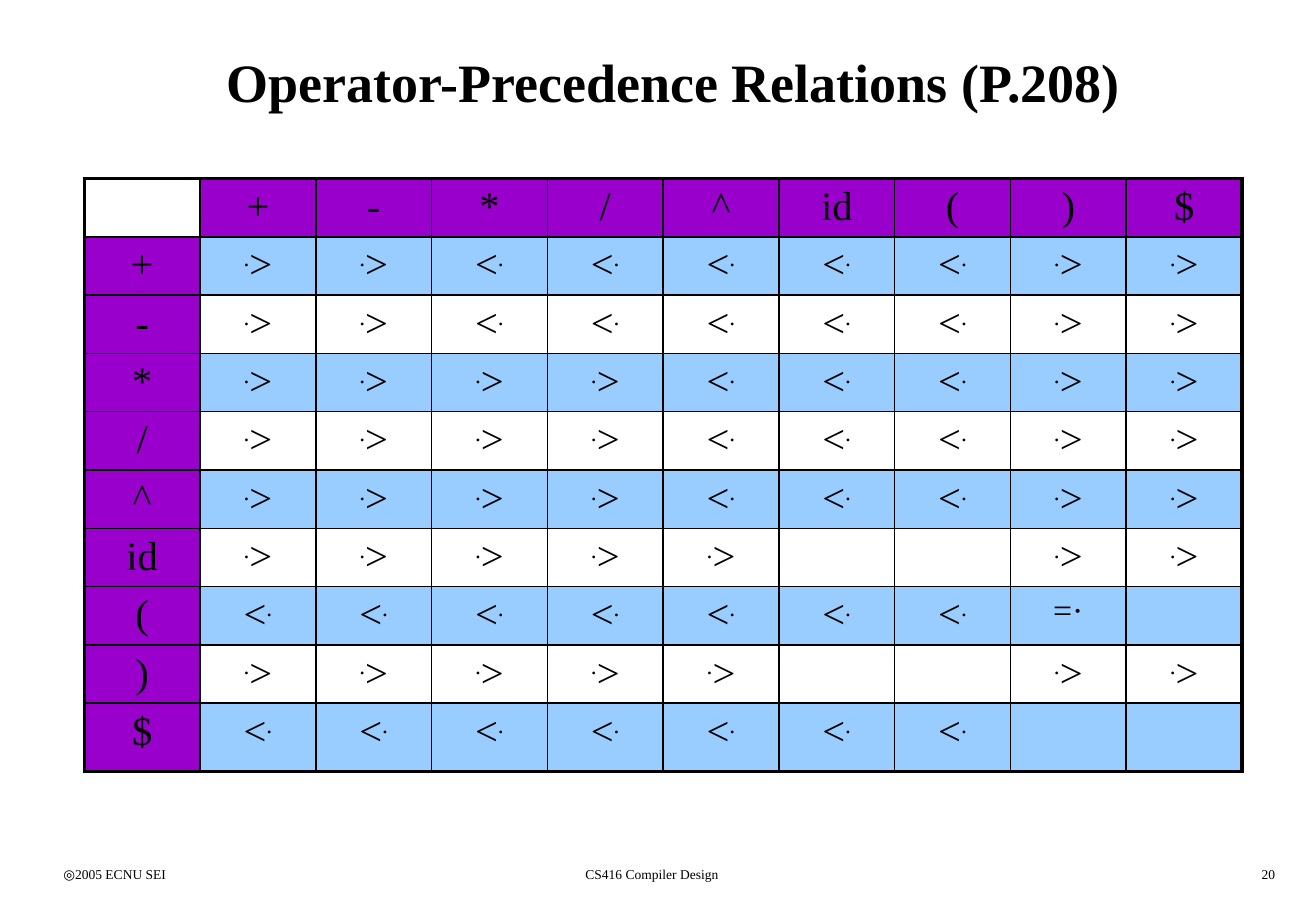
from lxml.etree import SubElement
from pptx import Presentation
from pptx.dml.color import RGBColor
from pptx.enum.text import MSO_ANCHOR as Anchor, MSO_AUTO_SIZE as AutoSize, PP_ALIGN as Align
from pptx.oxml.ns import qn
from pptx.util import Inches, Pt

WIDTH, HEIGHT = Inches(10.83), Inches(7.5)
FONT = "Times New Roman"
COLORS = {"ink": "000000", "heading": "9900CC", "band": "99CCFF"}

SYMBOLS = ["+", "-", "*", "/", "^", "id", "(", ")", "$"]
# One string per row symbol, one mark per column symbol
RELATIONS = [
    ">><<<<<>>",
    ">><<<<<>>",
    ">>>><<<>>",
    ">>>><<<>>",
    ">>>><<<>>",
    ">>>>>  >>",
    "<<<<<<<= ",
    ">>>>>  >>",
    "<<<<<<<  ",
]
# Runs of each mark: text, size, superscript percentage
MARK_RUNS = {
    ">": [(".", 24, 30), (">", 24, 0)],
    "<": [("<", 24, 0), (".", 24, 30)],
    "=": [("=·", 20, 0)],
    " ": [],
}


def add_run(paragraph, text, size, bold=False, raised=0):
    run = paragraph.add_run()
    run.text = text
    run.font.name = FONT
    run.font.size = Pt(size)
    run.font.bold = bold
    run.font.color.rgb = RGBColor.from_string(COLORS["ink"])
    if raised:
        run.font._element.set("baseline", str(raised * 1000))


def place(shape, left, top, width, height):
    """Position a shape by shares of the slide's size."""
    shape.left, shape.width = int(WIDTH * left), int(WIDTH * width)
    shape.top, shape.height = int(HEIGHT * top), int(HEIGHT * height)


def set_title(slide, text):
    title = slide.shapes.title
    place(title, 0.039, 0.022, 0.946, 0.133)
    frame = title.text_frame
    frame.auto_size = AutoSize.NONE
    frame.vertical_anchor = Anchor.MIDDLE
    paragraph = frame.paragraphs[0]
    paragraph.alignment = Align.CENTER
    add_run(paragraph, text, 32, bold=True)


def add_footer(slide, text, left, width, alignment):
    box = slide.shapes.add_textbox(0, 0, 0, 0)
    place(box, left, 0.944, width, 0.033)
    box.text_frame.word_wrap = True
    paragraph = box.text_frame.paragraphs[0]
    paragraph.alignment = alignment
    add_run(paragraph, text, 8)


def set_borders(cell, outer_sides):
    """Draw thin inner borders and thick ones on the table's outer sides."""
    properties = cell._tc.get_or_add_tcPr()
    for side in "LRTB":
        width = Pt(2.25 if side in outer_sides else 1)
        line = SubElement(properties, qn(f"a:ln{side}"), w=str(width))
        fill = SubElement(line, qn("a:solidFill"))
        SubElement(fill, qn("a:srgbClr"), val=COLORS["ink"])


def set_fill(cell, color=None, opacity=100):
    if color is None:
        cell.fill.background()
        return
    cell.fill.solid()
    cell.fill.fore_color.rgb = RGBColor.from_string(color)
    if opacity < 100:
        color_element = cell._tc.tcPr.find(f".//{qn('a:solidFill')}[last()]/../"
                                           f"{qn('a:solidFill')}/{qn('a:srgbClr')}")
        SubElement(color_element, qn("a:alpha"), val=str(opacity * 1000))


def fill_cell(cell, row, column):
    """Write and colour one cell: headings on the first row and column."""
    paragraph = cell.text_frame.paragraphs[0]
    paragraph.alignment = Align.CENTER
    if row and column:
        runs = MARK_RUNS[RELATIONS[row - 1][column - 1]]
        set_fill(cell, COLORS["band"] if row % 2 else None)
    elif row or column:
        runs = [(SYMBOLS[max(row, column) - 1], 24, 0)]
        set_fill(cell, COLORS["heading"], opacity=50)
    else:
        runs = []
        set_fill(cell)
    for text, size, raised in runs:
        add_run(paragraph, text, size, raised=raised)


def add_relation_table(slide):
    count = len(SYMBOLS) + 1
    last = count - 1
    frame = slide.shapes.add_table(count, count, 0, 0, WIDTH, HEIGHT)
    place(frame, 0.064, 0.196, 0.88, 0.65)
    table = frame.table
    table.first_row = table.horz_banding = False
    for index in range(count):
        table.columns[index].width = int(WIDTH * 0.88 / count)
        table.rows[index].height = Inches(0.56 if index == last else 0.48)
    for row in range(count):
        for column in range(count):
            cell = table.cell(row, column)
            outer_sides = [side for side, at_edge in (
                ("L", column == 0), ("R", column == last),
                ("T", row == 0), ("B", row == last)) if at_edge]
            set_borders(cell, outer_sides)
            fill_cell(cell, row, column)


def main():
    presentation = Presentation()
    presentation.slide_width, presentation.slide_height = WIDTH, HEIGHT
    slide = presentation.slides.add_slide(presentation.slide_layouts[5])

    # Title and precedence table
    set_title(slide, "Operator-Precedence Relations (P.208)")
    add_relation_table(slide)

    # Footer line
    add_footer(slide, "◎2005 ECNU SEI", 0.039, 0.209, Align.LEFT)
    add_footer(slide, "CS416 Compiler Design", 0.308, 0.375, Align.CENTER)
    add_footer(slide, "20", 0.769, 0.209, Align.RIGHT)

    presentation.save("out.pptx")


if __name__ == "__main__":
    main()
